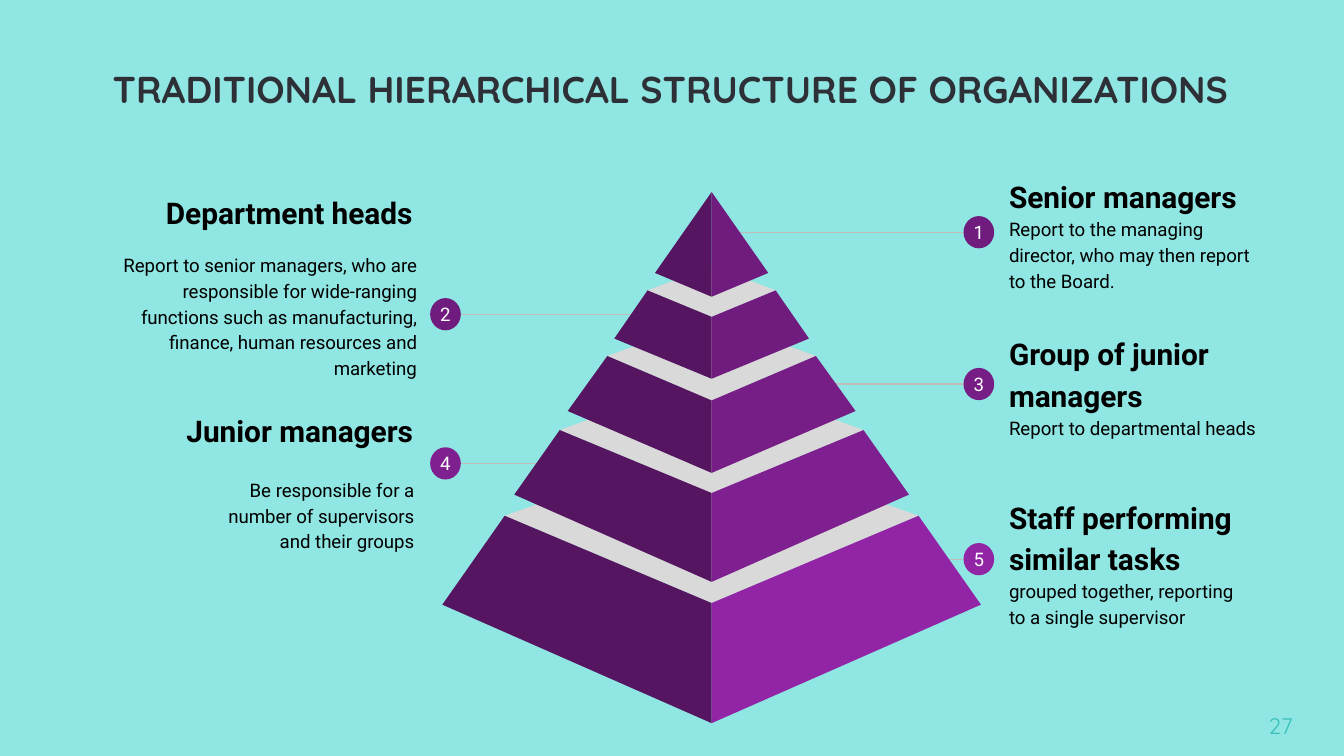
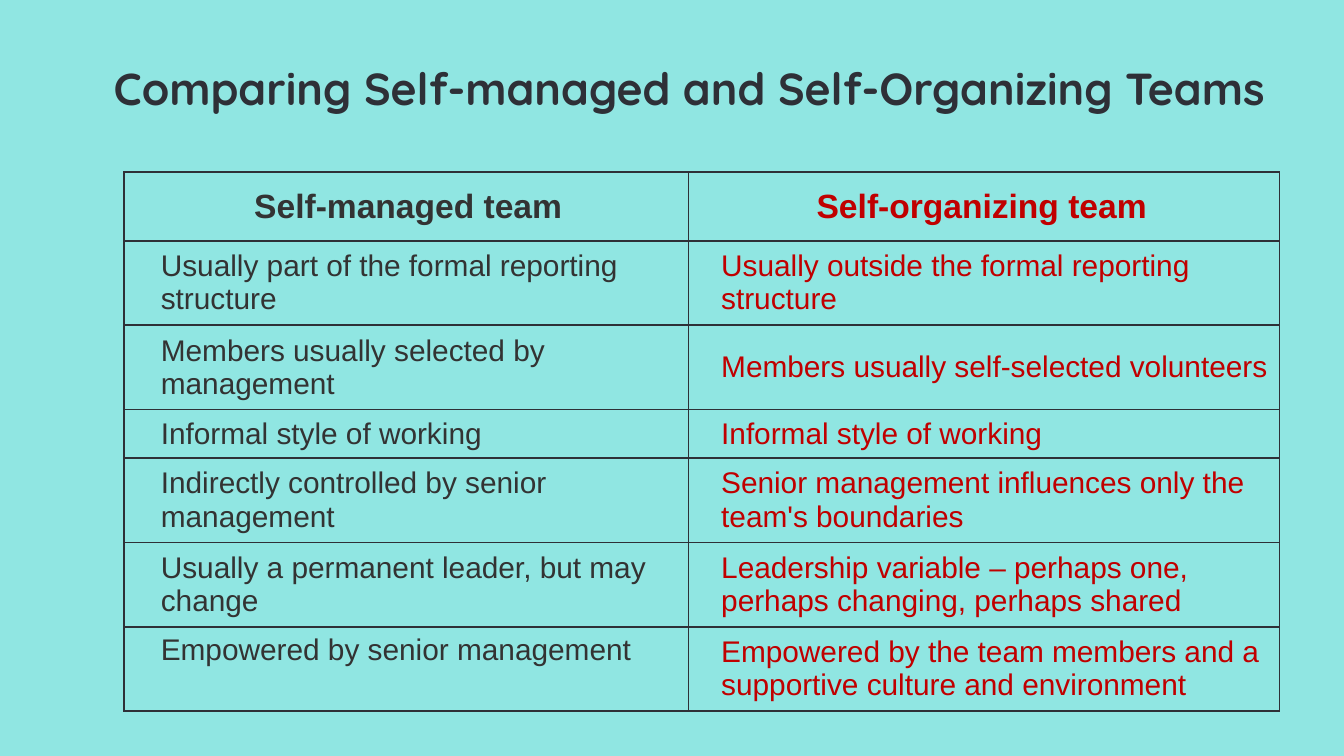
from typing import NamedTuple, Optional

from pptx import Presentation
from pptx.dml.color import RGBColor
from pptx.enum.shapes import MSO_CONNECTOR, MSO_SHAPE
from pptx.enum.text import MSO_ANCHOR, MSO_AUTO_SIZE, PP_ALIGN
from pptx.oxml.xmlchemy import OxmlElement
from pptx.util import Cm, Pt

LEFT, CENTER, RIGHT = PP_ALIGN.LEFT, PP_ALIGN.CENTER, PP_ALIGN.RIGHT
TOP, MIDDLE = MSO_ANCHOR.TOP, MSO_ANCHOR.MIDDLE
FIT_SHAPE, NO_FIT = MSO_AUTO_SIZE.SHAPE_TO_FIT_TEXT, MSO_AUTO_SIZE.NONE
ELLIPSE, STRAIGHT = MSO_SHAPE.OVAL, MSO_CONNECTOR.STRAIGHT

# Colours and fonts
AQUA = RGBColor(0x90, 0xE6, 0xE2)
TEAL = RGBColor(0x39, 0xC0, 0xBA)
INK = RGBColor(0x2E, 0x30, 0x37)
BLACK = RGBColor(0x00, 0x00, 0x00)
WHITE = RGBColor(0xFF, 0xFF, 0xFF)
CHARCOAL = RGBColor(0x33, 0x33, 0x33)
RED = RGBColor(0xC0, 0x00, 0x00)
LINE_GREY = RGBColor(0xBD, 0xBD, 0xBD)
CAP_GREY = RGBColor(0xD9, 0xD9, 0xD9)
SHADE = RGBColor(0x55, 0x15, 0x61)
PURPLE_1 = RGBColor(0x70, 0x1C, 0x7F)
PURPLE_3 = RGBColor(0x76, 0x1E, 0x86)
PURPLE_4 = RGBColor(0x7F, 0x20, 0x90)
PURPLE_5 = RGBColor(0x92, 0x25, 0xA5)
TITLE_FONT, LABEL_FONT, TABLE_FONT = "Quicksand", "Roboto", "Arial"

INSET, SLIM_INSET = 0.25, 0.13
AXIS = 13.45  # centre line of the pyramid
BADGE_W, BADGE_H = 0.58, 0.61


class Frame(NamedTuple):
    left: float
    top: float
    width: float
    height: float


class Tier(NamedTuple):
    """Half widths and heights of one level; cap is the back corner of its top."""
    top_half: float
    top_side: float
    top_front: float
    base_half: float
    base_side: float
    base_front: float
    colour: RGBColor
    cap: Optional[float] = None


class Badge(NamedTuple):
    number: str
    centre: float
    middle: float
    line_from: float
    line_to: float
    colour: RGBColor


class Label(NamedTuple):
    frame: Frame
    heading: str = ""
    body: str = ""
    align: PP_ALIGN = LEFT
    anchor: MSO_ANCHOR = MIDDLE
    pad: float = INSET
    fit: MSO_AUTO_SIZE = NO_FIT


TIERS = [
    Tier(0, 3.63, 3.63, 1.07, 5.16, 5.61, PURPLE_1),
    Tier(1.21, 5.49, 5.99, 1.84, 6.4, 7.16, PURPLE_1, 5.03),
    Tier(1.97, 6.73, 7.57, 2.72, 7.77, 8.94, PURPLE_3, 6.02),
    Tier(2.87, 8.13, 9.32, 3.73, 9.35, 11, PURPLE_4, 7.09),
    Tier(3.91, 9.75, 11.4, 5.09, 11.43, 13.67, PURPLE_5, 8.36),
]

BADGES = [
    Badge("1", 18.5, 4.39, 13.92, 18.7, PURPLE_1),
    Badge("2", 8.42, 5.94, 12.01, 8.26, PURPLE_1),
    Badge("3", 18.5, 7.26, 15.47, 18.7, PURPLE_3),
    Badge("4", 8.42, 8.76, 10.72, 8.26, PURPLE_4),
    Badge("5", 18.5, 10.57, 16.94, 18.7, PURPLE_5),
]

LABELS = [
    Label(Frame(18.82, 3.25, 5.44, 2.31), "Senior managers",
          "Report to the managing director, who may then report to the Board."),
    Label(Frame(2.39, 3.33, 5.66, 1.3), "Department heads",
          align=RIGHT, anchor=TOP, fit=FIT_SHAPE),
    Label(Frame(1.96, 4.8, 6.17, 2.31), "",
          "Report to senior managers, who are responsible for wide-ranging functions "
          "such as manufacturing, finance, human resources and marketing", RIGHT),
    Label(Frame(18.82, 6.12, 5.44, 2.31), "Group of junior managers",
          "Report to departmental heads"),
    Label(Frame(2.9, 7.57, 5.16, 0.99), "Junior managers",
          align=RIGHT, anchor=TOP, pad=SLIM_INSET, fit=FIT_SHAPE),
    Label(Frame(3.61, 8.56, 4.47, 2.31), "",
          "Be responsible for a number of supervisors and their groups", RIGHT),
    Label(Frame(18.82, 9.45, 5.08, 2.31), "Staff performing similar tasks",
          "grouped together, reporting to a single supervisor"),
]

TEAM_ROWS = [
    ("Self-managed team", "Self-organizing team"),
    ("Usually part of the formal reporting structure",
     "Usually outside the formal reporting structure"),
    ("Members usually selected by management",
     "Members usually self-selected volunteers"),
    ("Informal style of working", "Informal style of working"),
    ("Indirectly controlled by senior management",
     "Senior management influences only the team's boundaries"),
    ("Usually a permanent leader, but may change",
     "Leadership variable – perhaps one, perhaps changing, perhaps shared"),
    ("Empowered by senior management",
     "Empowered by the team members and a supportive culture and environment"),
]
ROW_HEIGHTS = [1.3, 1.55, 1.55, 0.88, 1.55, 1.55, 1.55]
COLUMN_WIDTHS = [10.67, 11.17]
COLUMN_COLOURS = [CHARCOAL, RED]


# Shared helpers
def write(para, text: str, *, size: float, font: str, colour: RGBColor,
          bold: bool = False, align: PP_ALIGN = LEFT,
          spacing: Optional[float] = None, after: float = 0) -> None:
    para.alignment = align
    if spacing:
        para.line_spacing = spacing
    if after:
        para.space_after = Pt(after)
    span = para.add_run()
    span.text = text
    span.font.size, span.font.name = Pt(size), font
    span.font.bold = bold
    span.font.color.rgb = colour


def add_box(page, frame: Frame, *, pad: float = INSET, anchor: MSO_ANCHOR = TOP,
            fit: MSO_AUTO_SIZE = NO_FIT):
    box = page.shapes.add_textbox(*map(Cm, frame)).text_frame
    box.word_wrap = True
    box.auto_size = fit
    box.vertical_anchor = anchor
    box.margin_left = box.margin_right = Cm(INSET)
    box.margin_top = box.margin_bottom = Cm(pad)
    return box


def paint(shape, colour: RGBColor) -> None:
    shape.shadow.inherit = False
    shape.fill.solid()
    shape.fill.fore_color.rgb = colour
    shape.line.fill.background()


def add_page(deck, title: str, frame: Frame, size: float):
    page = deck.slides.add_slide(deck.slide_layouts[6])
    page.background.fill.solid()
    page.background.fill.fore_color.rgb = AQUA
    box = add_box(page, frame, pad=SLIM_INSET, fit=FIT_SHAPE)
    write(box.paragraphs[0], title, size=size, font=TITLE_FONT, colour=INK, bold=True)
    return page


# Pyramid parts
def add_face(page, points: list, colour: RGBColor) -> None:
    corners = [(Cm(x), Cm(y)) for x, y in points]
    builder = page.shapes.build_freeform(*corners[0], scale=1.0)
    builder.add_line_segments(corners[1:], close=True)
    paint(builder.convert_to_shape(), colour)


def add_tier(page, tier: Tier) -> None:
    if tier.cap is not None:
        add_face(page, [(AXIS - tier.top_half, tier.top_side), (AXIS, tier.top_front),
                        (AXIS + tier.top_half, tier.top_side), (AXIS, tier.cap)], CAP_GREY)
    for side, colour in ((-1, SHADE), (1, tier.colour)):
        outline = [(AXIS + side * tier.top_half, tier.top_side),
                   (AXIS + side * tier.base_half, tier.base_side),
                   (AXIS, tier.base_front)]
        if tier.top_half:
            outline.append((AXIS, tier.top_front))
        add_face(page, outline, colour)


def add_badge(page, badge: Badge) -> None:
    y = Cm(badge.middle)
    leader = page.shapes.add_connector(STRAIGHT, Cm(badge.line_from), y, Cm(badge.line_to), y)
    leader.line.color.rgb = LINE_GREY
    leader.line.width = Pt(0.75)
    leader._element.spPr.append(OxmlElement("a:effectLst"))

    disc = page.shapes.add_shape(
        ELLIPSE, Cm(badge.centre - BADGE_W / 2), Cm(badge.middle - BADGE_H / 2),
        Cm(BADGE_W), Cm(BADGE_H))
    paint(disc, badge.colour)
    box = disc.text_frame
    box.word_wrap = False
    box.vertical_anchor = MIDDLE
    box.margin_left = box.margin_right = box.margin_top = box.margin_bottom = 0
    write(box.paragraphs[0], badge.number, size=10, font=LABEL_FONT, colour=WHITE, align=CENTER)


def add_label(page, label: Label) -> None:
    box = add_box(page, label.frame, pad=label.pad, anchor=label.anchor, fit=label.fit)
    para = box.paragraphs[0]
    if label.heading:
        write(para, label.heading, size=16, font=LABEL_FONT, colour=BLACK, bold=True,
              align=label.align, spacing=1.15)
    if label.body:
        if label.heading:
            para = box.add_paragraph()
        write(para, label.body, size=10, font=LABEL_FONT, colour=BLACK,
              align=label.align, spacing=1.15, after=16)


# Table parts
def add_borders(cell, colour: RGBColor, width: float) -> None:
    properties = cell._tc.get_or_add_tcPr()
    for edge in ("a:lnL", "a:lnR", "a:lnT", "a:lnB"):
        line = OxmlElement(edge)
        line.set("w", str(Pt(width)))
        fill, value = OxmlElement("a:solidFill"), OxmlElement("a:srgbClr")
        value.set("val", str(colour))
        fill.append(value)
        line.append(fill)
        properties.append(line)


def fill_cell(cell, text: str, row: int, column: int) -> None:
    add_borders(cell, INK, 1)
    cell.fill.background()
    cell.margin_left, cell.margin_right = map(Cm, ((0.2, 0.12), (0.12, 0.2))[column])
    cell.margin_top = cell.margin_bottom = Cm(0.12)
    last_left = row == len(TEAM_ROWS) - 1 and column == 0
    cell.vertical_anchor = TOP if last_left else MIDDLE
    para = cell.text_frame.paragraphs[0]
    header = row == 0
    if not header:
        para.level = 2 - column
        indent = para._p.get_or_add_pPr()
        indent.set("marL", str(Cm(0.5)))
        indent.set("indent", "0")
    write(para, text, size=18 if header else 16, font=TABLE_FONT,
          colour=COLUMN_COLOURS[column], bold=header, align=CENTER if header else LEFT)


# Slides
def build_hierarchy(deck) -> None:
    page = add_page(deck, "TRADITIONAL HIERARCHICAL STRUCTURE OF ORGANIZATIONS",
                    Frame(1.88, 1.12, 21.64, 1.12), 20)
    for badge in BADGES:
        add_badge(page, badge)
    for tier in reversed(TIERS):
        add_tier(page, tier)
    for label in LABELS:
        add_label(page, label)
    box = add_box(page, Frame(23.16, 13.21, 1.52, 0.86))
    write(box.paragraphs[0], "27", size=12, font=TITLE_FONT, colour=TEAL, align=RIGHT)


def build_comparison(deck) -> None:
    page = add_page(deck, "Comparing Self-managed and Self-Organizing Teams",
                    Frame(1.9, 1.02, 22.73, 1.27), 24)
    frame = Frame(2.34, 3.25, sum(COLUMN_WIDTHS), sum(ROW_HEIGHTS))
    table = page.shapes.add_table(len(ROW_HEIGHTS), len(COLUMN_WIDTHS),
                                  *map(Cm, frame)).table
    table.first_row = table.horz_banding = False
    for column, width in zip(table.columns, COLUMN_WIDTHS):
        column.width = Cm(width)
    for row, (height, texts) in enumerate(zip(ROW_HEIGHTS, TEAM_ROWS)):
        table.rows[row].height = Cm(height)
        for column, text in enumerate(texts):
            fill_cell(table.cell(row, column), text, row, column)


def main() -> None:
    deck = Presentation()
    deck.slide_width, deck.slide_height = Cm(25.4), Cm(14.29)
    build_hierarchy(deck)
    build_comparison(deck)
    deck.save("out.pptx")


if __name__ == "__main__":
    main()
